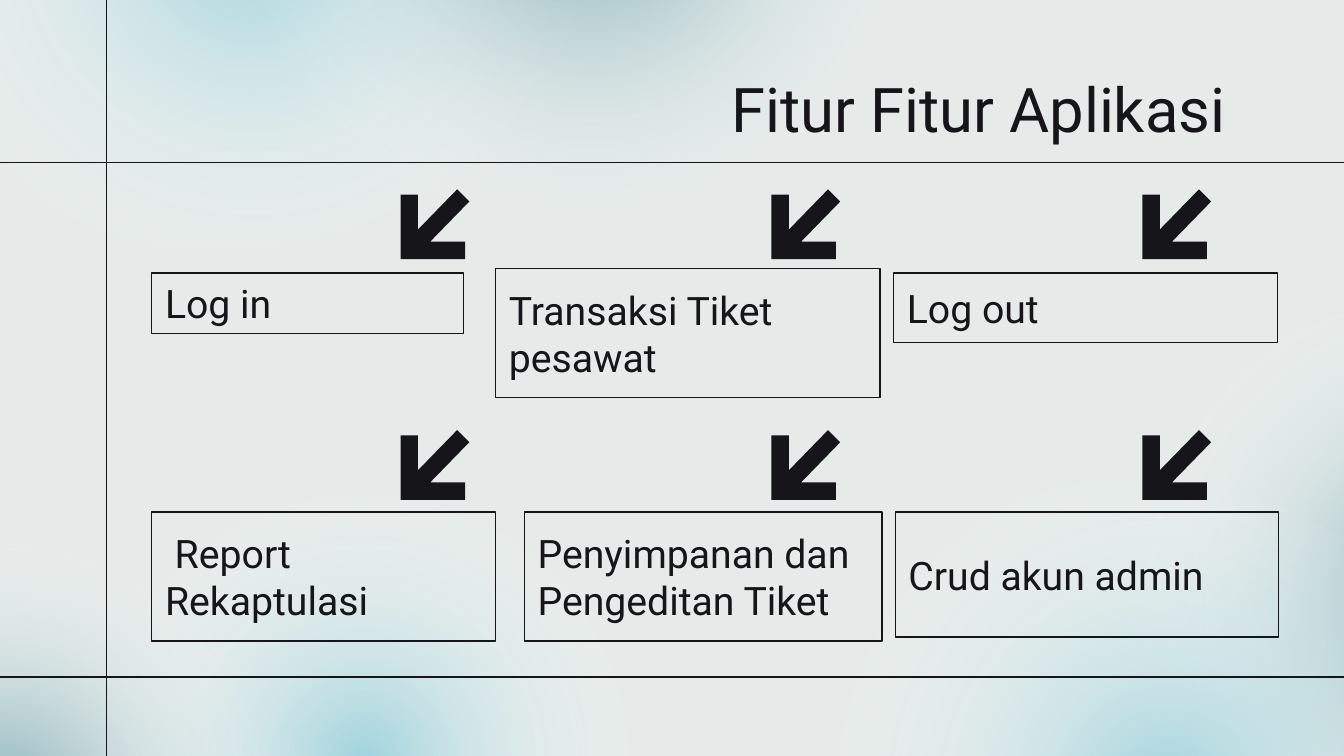
import lxml.etree
import pptx
import pptx.dml.color
import pptx.enum.shapes
import pptx.enum.text
import pptx.oxml.ns
import pptx.util

Cm = pptx.util.Cm
ALIGN = pptx.enum.text.PP_ALIGN
COLOURS = {"paper": "E6EBE9", "ink": "161519", "teal": "4E909E",
           "sky": "80C8D8", "clear": "FFFFFF"}
WIDTH, HEIGHT = 25.4, 14.29
GLOW_SIZE = (13.26, 11.68)
# left, top, rotation, colour, opacity in percent
GLOWS = [
    (21.21, 5.74, 200.6, "teal", 81),
    (15.42, 9.17, 200.6, "sky", 68),
    (0.23, 8.51, 271.8, "sky", 68),
    (-6.63, 9.42, 271.8, "teal", 68),
    (-1.88, -7.09, 157, "sky", 68),
    (4.52, -7.8, 157, "teal", 68),
]
RULES = [(0, 3.07, WIDTH, 3.07), (0, 12.8, WIDTH, 12.8), (2.01, 0, 2.01, HEIGHT)]
# text, left, top, width, height
FEATURES = [
    ("Log in", 2.87, 5.16, 5.89, 1.14),
    ("Transaksi Tiket pesawat", 9.37, 5.08, 7.26, 2.44),
    ("Log out", 16.89, 5.16, 7.26, 1.32),
    (" Report Rekaptulasi", 2.87, 9.68, 6.5, 2.44),
    ("Penyimpanan dan Pengeditan Tiket", 9.91, 9.68, 6.76, 2.44),
    ("Crud akun admin", 16.92, 9.68, 7.24, 2.36),
]
ARROW = [(1.07, 0), (1.3, 0.23), (0.56, 0.99), (1.22, 0.99), (1.22, 1.32),
         (0, 1.32), (0, 0.1), (0.33, 0.1), (0.33, 0.76)]
ARROW_START, ARROW_STEP = (7.57, 3.58), (7.01, 4.55)


def set_all(target, values):
    """Set every attribute in a dict of format values."""
    for name, value in values.items():
        setattr(target, name, value)


def colour(name):
    """Return the named colour."""
    return pptx.dml.color.RGBColor.from_string(COLOURS[name])


def paint(fill, name):
    """Give a fill one solid colour."""
    fill.solid()
    fill.fore_color.rgb = colour(name)


def outline(line):
    """Draw a thin ink line."""
    paint(line.fill, "ink")
    line.width = pptx.util.Pt(0.75)


def write(shape, text, size, align):
    """Put one formatted paragraph in a shape."""
    frame = shape.text_frame
    set_all(frame, {
        "word_wrap": True,
        "auto_size": pptx.enum.text.MSO_AUTO_SIZE.NONE,
        "vertical_anchor": pptx.enum.text.MSO_ANCHOR.MIDDLE,
        **{f"margin_{side}": Cm(0.25) for side in ("left", "top", "right", "bottom")},
    })
    para = frame.paragraphs[0]
    set_all(para, {"alignment": align, "line_spacing": 1.0})
    span = para.add_run()
    span.text = text
    set_all(span.font, {"name": "Roboto", "size": pptx.util.Pt(size)})
    span.font.color.rgb = colour("ink")


def add_glow(page, left, top, rotation, name, opacity):
    """Add an ellipse that fades from its centre to nothing."""
    glow = page.shapes.add_shape(pptx.enum.shapes.MSO_SHAPE.OVAL,
                                 Cm(left), Cm(top), *map(Cm, GLOW_SIZE))
    set_all(glow, {"rotation": rotation})
    glow.shadow.inherit = False
    glow.line.fill.background()
    stops = "".join(
        f'<a:gs pos="{place * 1000}"><a:srgbClr val="{COLOURS[tint]}">'
        f'<a:alpha val="{alpha * 1000}"/></a:srgbClr></a:gs>'
        for place, tint, alpha in [(0, name, opacity), (58, "clear", 0), (100, "clear", 0)])
    gradient = pptx.oxml.parse_xml(
        f'<a:gradFill {pptx.oxml.ns.nsdecls("a")} rotWithShape="1"><a:gsLst>{stops}</a:gsLst>'
        '<a:path path="circle"><a:fillToRect l="50000" t="50000" r="50000" b="50000"/>'
        '</a:path></a:gradFill>')
    glow._element.spPr.find(pptx.oxml.ns.qn("a:prstGeom")).addnext(gradient)


def add_rule(page, *ends):
    """Add a straight line without a shadow."""
    rule = page.shapes.add_connector(pptx.enum.shapes.MSO_CONNECTOR.STRAIGHT,
                                     *map(Cm, ends))
    outline(rule.line)
    lxml.etree.SubElement(rule._element.spPr, pptx.oxml.ns.qn("a:effectLst"))


def add_feature(page, text, *place):
    """Add an outlined box that names one feature."""
    box = page.shapes.add_shape(pptx.enum.shapes.MSO_SHAPE.RECTANGLE, *map(Cm, place))
    box.shadow.inherit = False
    box.fill.background()
    outline(box.line)
    write(box, text, 21, ALIGN.LEFT)


def add_arrow(page, left, top):
    """Add a solid arrow that points down and left."""
    points = [(Cm(left + x), Cm(top + y)) for x, y in ARROW]
    builder = page.shapes.build_freeform(*points[0])
    builder.add_line_segments(points[1:], close=True)
    arrow = builder.convert_to_shape()
    arrow.shadow.inherit = False
    paint(arrow.fill, "ink")
    arrow.line.fill.background()


def place_title(page, text):
    """Place the title in front of the glows."""
    title = page.shapes.title
    set_all(title, {"left": Cm(1.98), "top": Cm(1.24),
                    "width": Cm(21.44), "height": Cm(1.6)})
    write(title, text, 33, ALIGN.RIGHT)
    page.shapes._spTree.append(title._element)


def main():
    """Build and save the slide."""
    deck = pptx.Presentation()
    set_all(deck, {"slide_width": Cm(WIDTH), "slide_height": Cm(HEIGHT)})
    page = deck.slides.add_slide(deck.slide_layouts.get_by_name("Title Only"))
    paint(page.background.fill, "paper")
    for glow in GLOWS:
        add_glow(page, *glow)
    for rule in RULES:
        add_rule(page, *rule)
    place_title(page, "Fitur Fitur Aplikasi")
    for feature in FEATURES:
        add_feature(page, *feature)
    for row in range(2):
        for column in range(3):
            add_arrow(page, ARROW_START[0] + column * ARROW_STEP[0],
                      ARROW_START[1] + row * ARROW_STEP[1])
    deck.save("out.pptx")


main()
